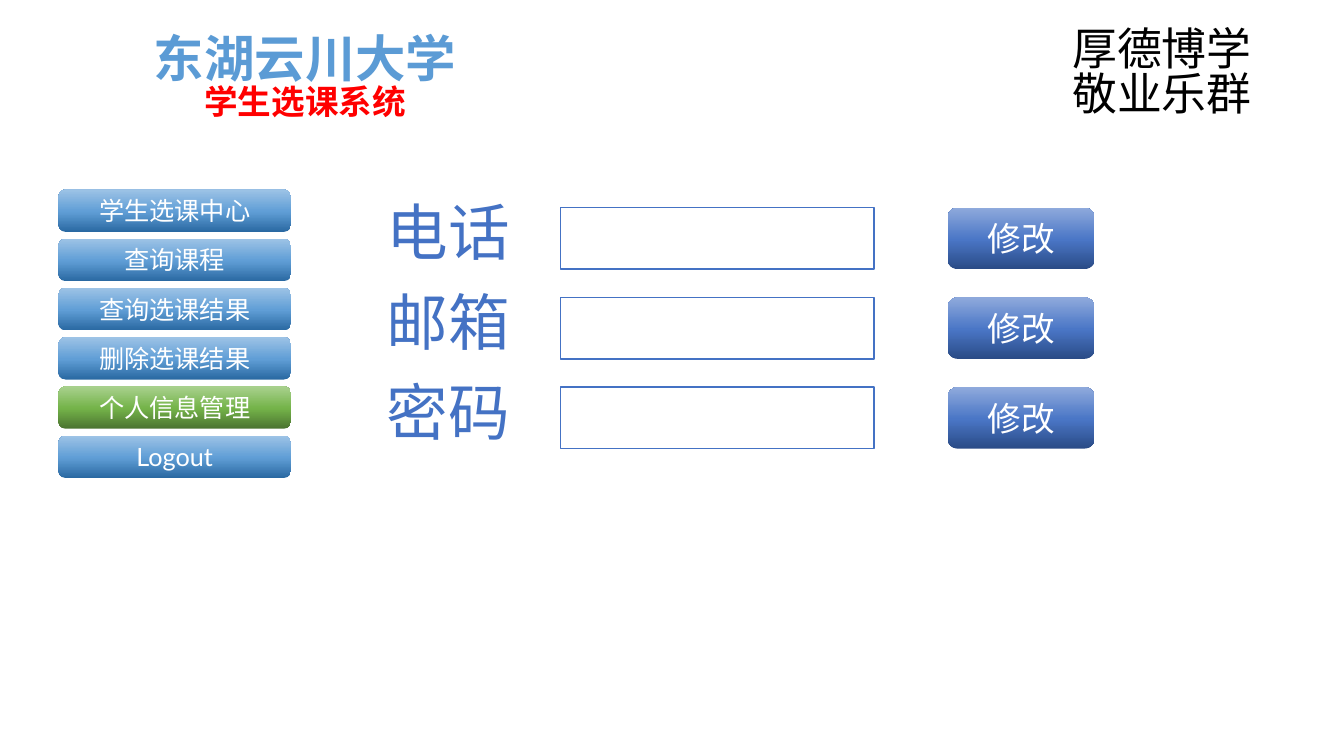
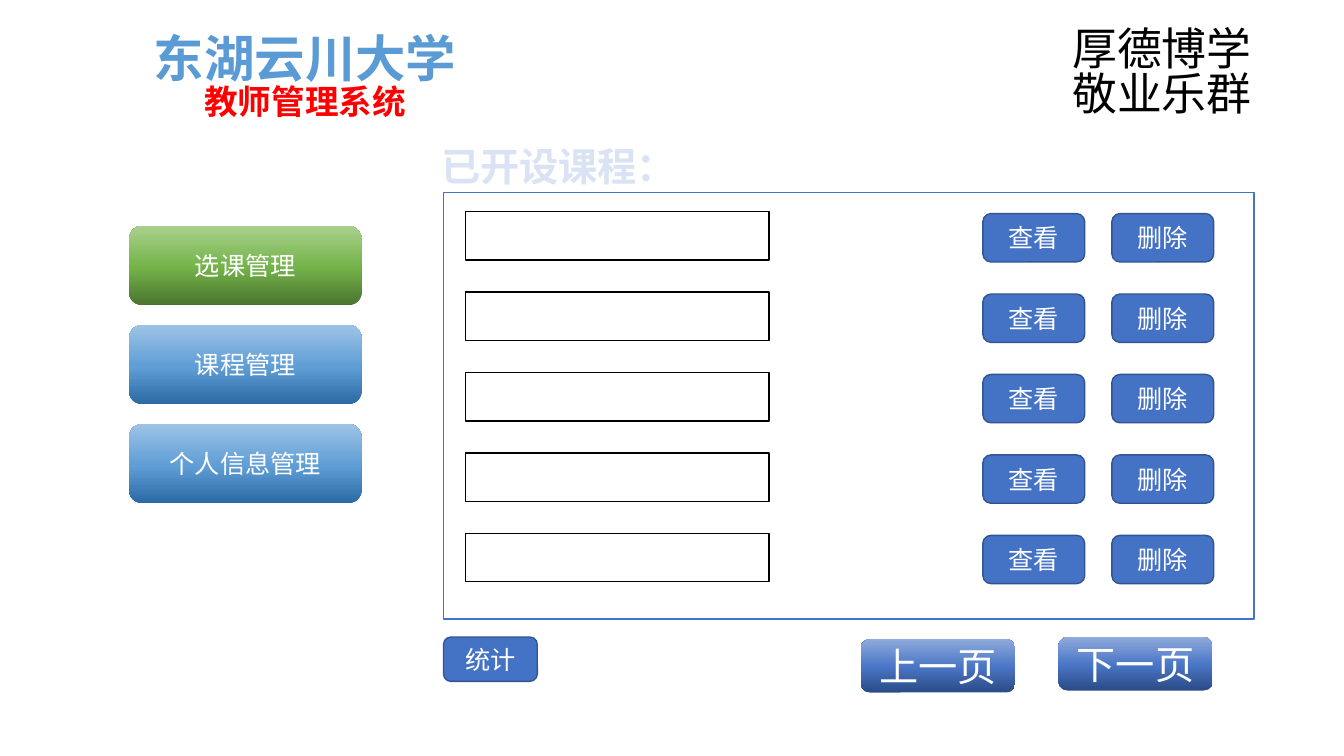
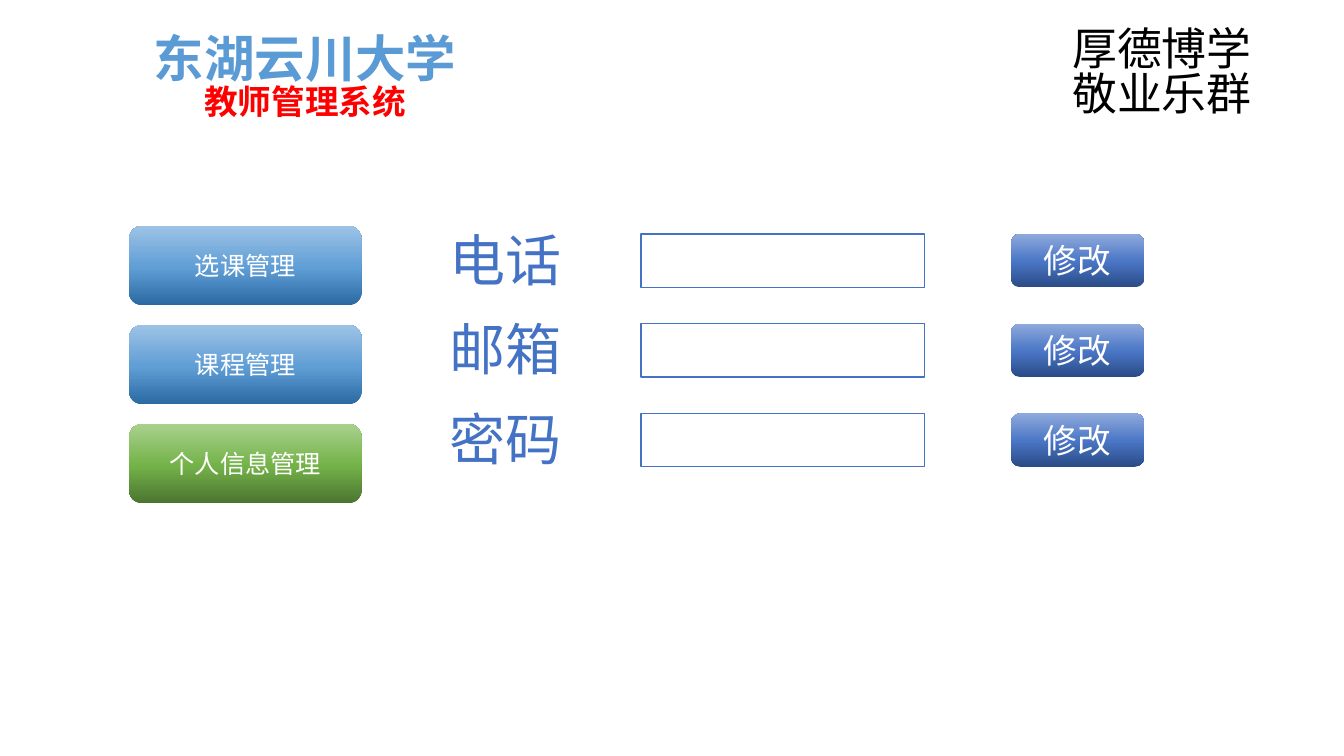
from copy import deepcopy

from lxml import etree
from pptx import Presentation
from pptx import util as u
from pptx.dml.color import RGBColor
from pptx.enum import shapes, text
from pptx.oxml.ns import qn

W, H = u.Inches(13.33), u.Inches(7.5)
SC, JP, LATIN = "Noto Sans CJK SC", "Noto Sans CJK JP", "Lato"
LEADING = 0.83

WHITE = RGBColor(0xFF, 0xFF, 0xFF)
BLACK = RGBColor(0x00, 0x00, 0x00)
RED = RGBColor(0xFF, 0x00, 0x00)
SKY = RGBColor(0x5B, 0x9B, 0xD5)
BLUE = RGBColor(0x44, 0x72, 0xC4)
EDGE = RGBColor(0x32, 0x54, 0x91)
PALE = RGBColor(0xDA, 0xE3, 0xF3)
SKY_FADE = (RGBColor(0x2A, 0x69, 0xA2), RGBColor(0x60, 0x9E, 0xD6), RGBColor(0x9D, 0xC3, 0xE6))
GREEN_FADE = (RGBColor(0x4B, 0x74, 0x30), RGBColor(0x74, 0xB3, 0x49), RGBColor(0xA9, 0xD1, 0x8E))
BLUE_FADE = (RGBColor(0x2A, 0x4B, 0x86), RGBColor(0x4A, 0x76, 0xC6), RGBColor(0x8F, 0xAA, 0xDC))
FADE_STOPS = (0, 0.48, 1)

TEACHER_MENU = ("选课管理", "课程管理", "个人信息管理")
STUDENT_MENU = ("学生选课中心", "查询课程", "查询选课结果", "删除选课结果", "个人信息管理", "Logout")
TEACHER_BAR = dict(x=9.6, y=29.87, h=10.53, pitch=13.1)
STUDENT_BAR = dict(x=4.35, y=25.07, h=5.6, pitch=6.51)


def place(x, y, w, h):
    """Turn percentages of the slide into lengths."""
    return [int(side * share / 100) for side, share in ((W, x), (H, y), (W, w), (H, h))]


def write(tf, content, size=18, color=WHITE, font=SC, bold=False, align="CENTER",
          outline=None, leading=None, first=True):
    p = tf.paragraphs[0] if first else tf.add_paragraph()
    p.alignment = getattr(text.PP_ALIGN, align)
    if leading:
        p.line_spacing = leading
    r = p.add_run()
    r.text = content
    r.font.size, r.font.bold, r.font.name = u.Pt(size), bold, font
    r.font.color.rgb = color
    rpr = r.font._element
    etree.SubElement(rpr, qn("a:ea"), typeface=font)
    if outline:
        ln = etree.Element(qn("a:ln"), w=str(u.Pt(outline[1])))
        fill = etree.SubElement(ln, qn("a:solidFill"))
        etree.SubElement(fill, qn("a:srgbClr"), val=str(outline[0]))
        rpr.insert(0, ln)


def frame(sp, size, wrap=False):
    tf = sp.text_frame
    tf.word_wrap = wrap
    tf.auto_size = text.MSO_AUTO_SIZE.NONE
    tf.vertical_anchor = text.MSO_ANCHOR.TOP
    tf.margin_top = u.Inches(0.05) + u.Pt(size * 0.1)
    return tf


def label(slide, box, content, size, **style):
    sp = slide.shapes.add_textbox(*place(*box))
    write(frame(sp, size), content, size, leading=LEADING, **style)


def fade(sp, colors):
    sp.fill.gradient()
    sp.fill.gradient_angle = 90
    stops = sp._element.spPr.find(qn("a:gradFill")).find(qn("a:gsLst"))
    stops.append(deepcopy(stops[0]))
    for stop, color, position in zip(sp.fill.gradient_stops, colors, FADE_STOPS):
        stop.color.rgb = color
        stop.position = position


def outlined(slide, kind, box, fill, line):
    sp = slide.shapes.add_shape(kind, *place(*box))
    sp.shadow.inherit = False
    if isinstance(fill, RGBColor):
        sp.fill.solid()
        sp.fill.fore_color.rgb = fill
    else:
        fade(sp, fill)
    if line is None:
        sp.line.fill.background()
    else:
        sp.line.color.rgb = line
        sp.line.width = u.Pt(1)
    return sp


def field(slide, box, line=BLUE):
    outlined(slide, shapes.MSO_SHAPE.RECTANGLE, box, WHITE, line)


def button(slide, box, content, size=18, fill=BLUE, line=None):
    sp = outlined(slide, shapes.MSO_SHAPE.ROUNDED_RECTANGLE, box, fill, line)
    tf = sp.text_frame
    tf.word_wrap = False
    tf.vertical_anchor = text.MSO_ANCHOR.MIDDLE
    write(tf, content, size, font=LATIN if content.isascii() else SC)


def menu(slide, items, active, x, y, h, pitch):
    for i, item in enumerate(items):
        fill = GREEN_FADE if item == active else SKY_FADE
        button(slide, (x, y + i * pitch, 17.3, h), item, fill=fill)


def page(prs, system, items, active, bar):
    slide = prs.slides.add_slide(prs.slide_layouts[5])
    title = slide.shapes.title
    title.left, title.top, title.width, title.height = place(10.58, 3.6, 24.23, 14.8)
    tf = frame(title, 36)
    style = dict(bold=True, outline=(WHITE, 0.75), leading=LEADING)
    write(tf, "东湖云川大学", 36, SKY, **style)
    write(tf, system, 24, RED, first=False, **style)

    motto = frame(slide.shapes.add_textbox(*place(79.05, 2.67, 19.2, 15.73)), 32, wrap=True)
    for i, line in enumerate(("厚德博学", "敬业乐群")):
        write(motto, line, 32, BLACK, JP, align="LEFT", leading=LEADING, first=i == 0)
    menu(slide, items, active, **bar)
    return slide


def contact_form(slide, columns, widths, y, h, label_y, size, pitch=11.87):
    label_x, field_x, button_x = columns
    side_w, field_w = widths
    for i, name in enumerate(("电话", "邮箱", "密码")):
        shift = i * pitch
        label(slide, (label_x, label_y + shift, side_w, 11), name, size, color=BLUE)
        field(slide, (field_x, y + shift, field_w, h))
        button(slide, (button_x, y + shift, side_w, h), "修改", 24, BLUE_FADE)


def course_list(slide):
    label(slide, (31.95, 18.67, 19.2, 7.6), "已开设课程：", 28, color=PALE, bold=True,
          outline=(BLUE, 1))
    field(slide, (33, 25.47, 60.3, 56.4))
    for row in range(5):
        shift = row * 10.64
        field(slide, (34.65, 28 + shift, 22.58, 6.4), BLACK)
        for col, action in enumerate(("查看", "删除")):
            button(slide, (73.13 + col * 9.6, 28.25 + shift, 7.58, 6.4), action, line=EDGE)
    button(slide, (33, 84.27, 6.98, 5.87), "统计", line=EDGE)
    for x, y, turn in ((64.05, 84.53, "上一页"), (78.75, 84.27, "下一页")):
        button(slide, (x, y, 11.48, 7.07), turn, 28, BLUE_FADE)


def main():
    prs = Presentation()
    prs.slide_width, prs.slide_height = W, H

    student = page(prs, "学生选课系统", STUDENT_MENU, "个人信息管理", STUDENT_BAR)
    contact_form(student, (27.9, 41.7, 70.5), (10.95, 23.33), 27.47, 8.13, 25.87, 44)

    courses = page(prs, "教师管理系统", TEACHER_MENU, "选课管理", TEACHER_BAR)
    course_list(courses)

    teacher = page(prs, "教师管理系统", TEACHER_MENU, "个人信息管理", TEACHER_BAR)
    contact_form(teacher, (32.63, 47.7, 75.23), (9.9, 21.08), 30.93, 7.07, 29.87, 40)

    prs.save("out.pptx")


if __name__ == "__main__":
    main()
